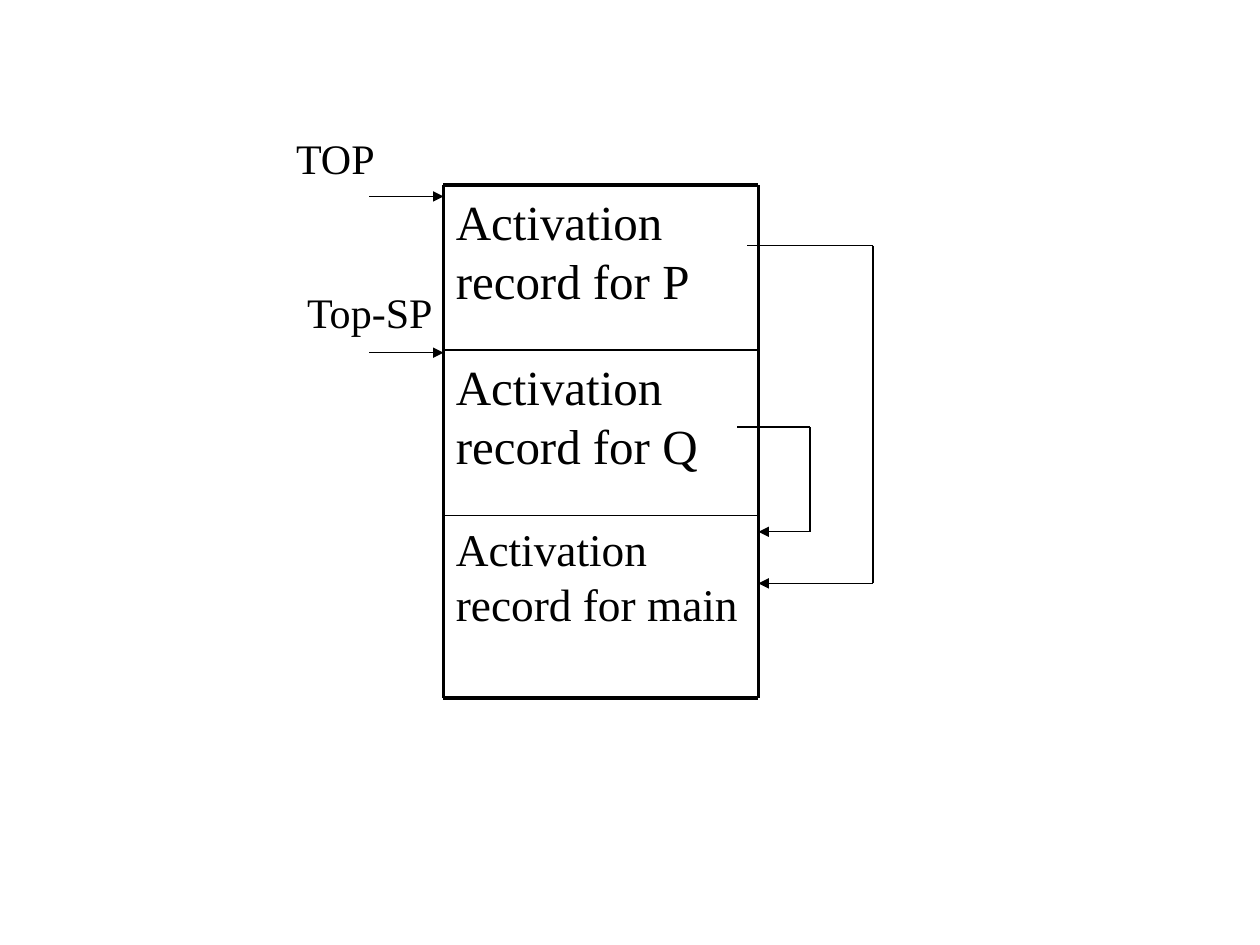
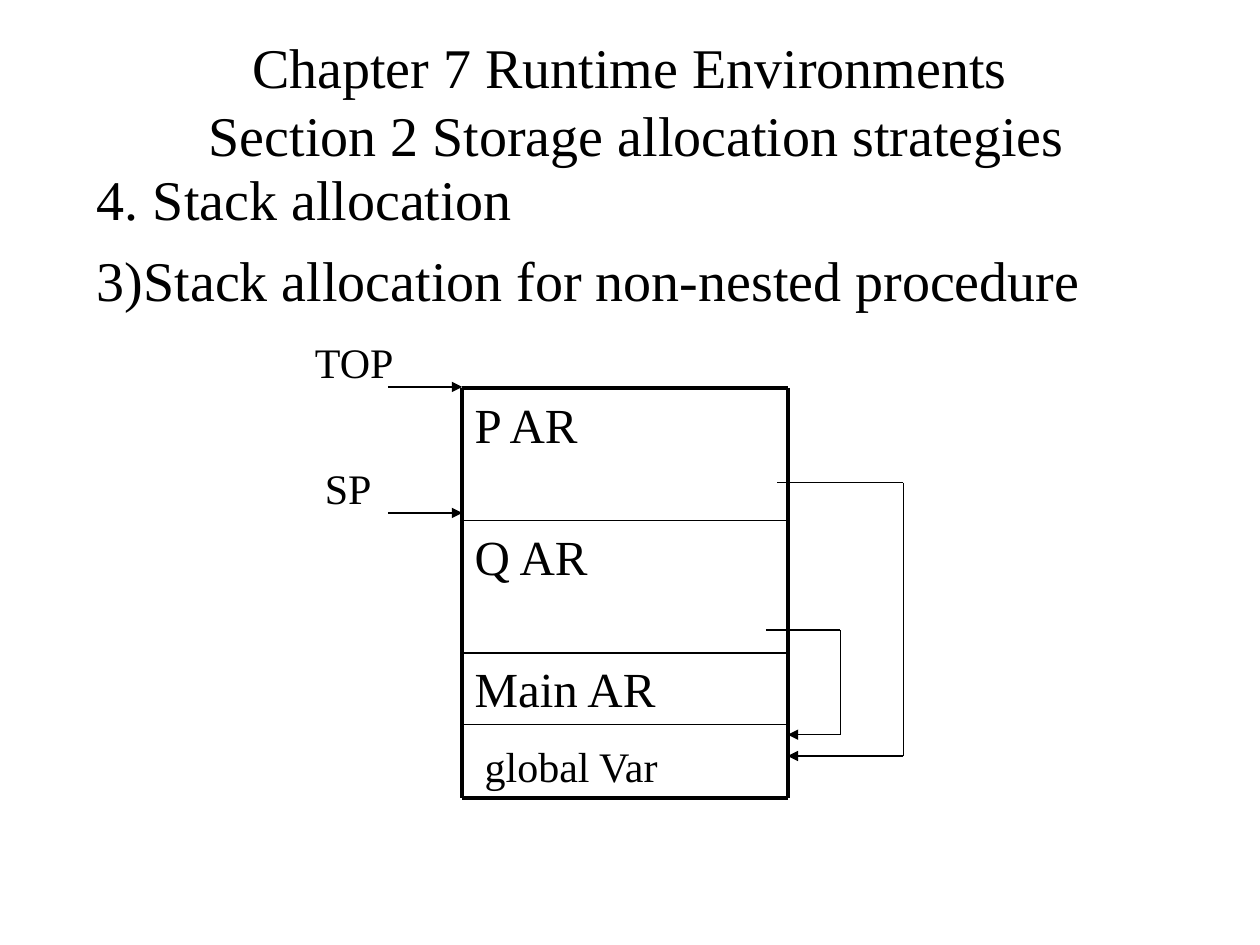
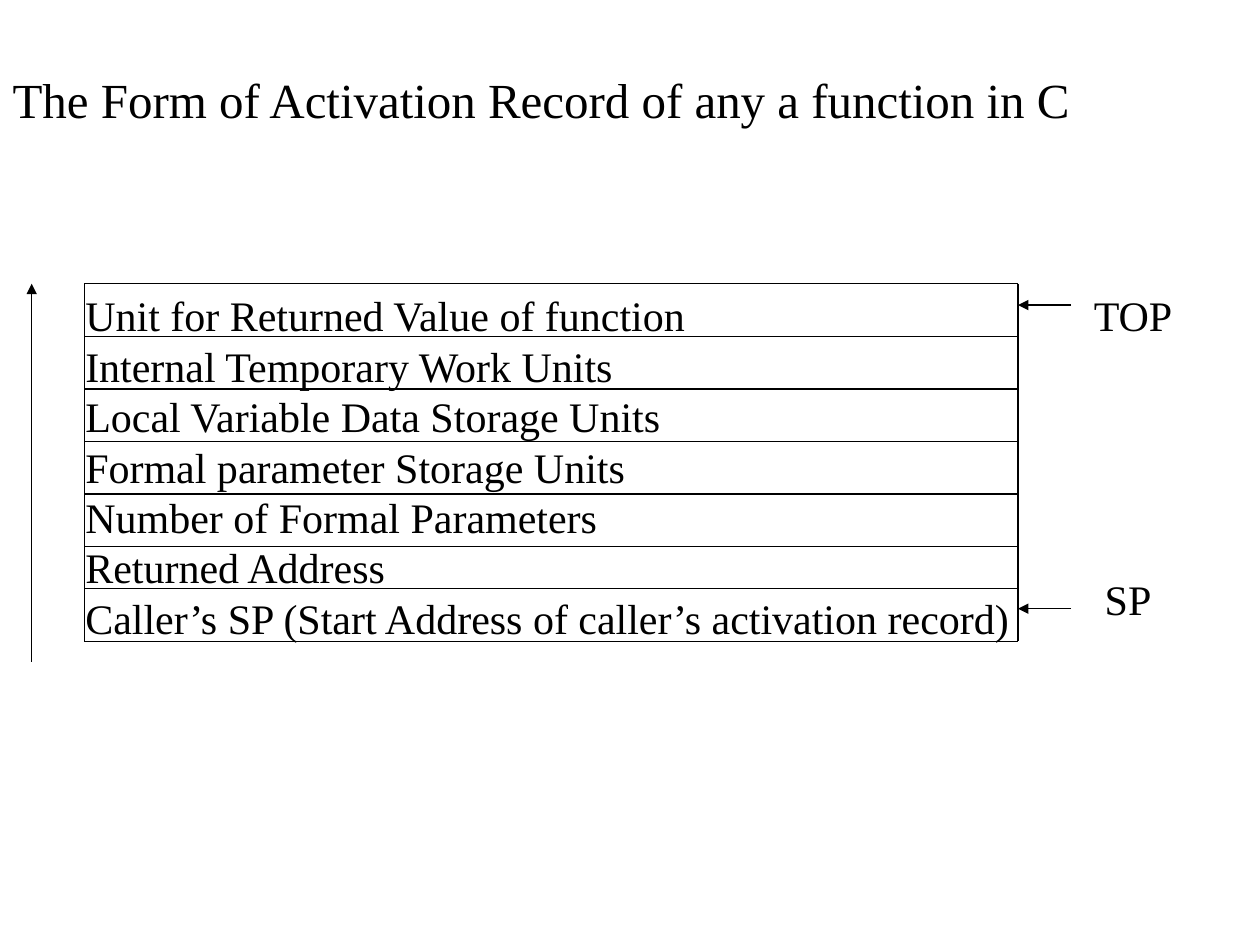
from dataclasses import dataclass
from itertools import accumulate, pairwise

from lxml import etree
from pptx import Presentation
from pptx import util as u
from pptx.dml.color import RGBColor
from pptx.enum import shapes, text
from pptx.oxml.ns import qn

COLORS = {"ink": "000000", "paper": "FFFFFF"}
FONT = "Times New Roman"
THIN, MEDIUM, THICK = 0.74, 0.99, 2.24
POINTER_LENGTH = 1.5
LABEL_HEIGHT = 1.27


Point = tuple[float, float]


@dataclass(frozen=True)
class Box:
    left: float
    top: float
    width: float
    height: float


@dataclass(frozen=True)
class Record:
    caption: str
    size: float


@dataclass(frozen=True)
class Pointer:
    caption: str
    label: Box
    y: float


@dataclass(frozen=True)
class ReturnLink:
    start: Point
    turn_x: float
    end_y: float


@dataclass(frozen=True)
class Stack:
    left: float
    right: float
    edges: list[float]
    records: list[Record]
    pointers: list[Pointer]
    links: list[ReturnLink]


def format_text(shape, size: float, align=text.PP_ALIGN.LEFT) -> None:
    for paragraph in shape.text_frame.paragraphs:
        paragraph.alignment = align
        for run in paragraph.runs:
            run.font.name = FONT
            run.font.size = u.Pt(size)
            run.font.color.rgb = RGBColor.from_string(COLORS["ink"])


def place(shape, box: Box) -> None:
    shape.left, shape.top = u.Cm(box.left), u.Cm(box.top)
    shape.width, shape.height = u.Cm(box.width), u.Cm(box.height)


def add_text(slide, box: Box, caption: str, size: float = 24, wrap: bool = True,
             align=text.PP_ALIGN.LEFT) -> None:
    shape = slide.shapes.add_textbox(0, 0, 0, 0)
    place(shape, box)
    shape.text_frame.word_wrap = wrap
    shape.text_frame.text = caption
    format_text(shape, size, align)


def fill_placeholder(shape, box: Box, caption: str, size: float, anchor, align) -> None:
    place(shape, box)
    frame = shape.text_frame
    frame.text = caption
    frame.auto_size = text.MSO_AUTO_SIZE.NONE
    frame.vertical_anchor = anchor
    format_text(shape, size, align)


def add_line(slide, start: Point, end: Point, width: float = THIN, arrow: bool = False) -> None:
    connector = slide.shapes.add_connector(
        shapes.MSO_CONNECTOR.STRAIGHT, *(u.Cm(value) for value in (*start, *end)))
    connector.line.width = u.Pt(width)
    connector.line.color.rgb = RGBColor.from_string(COLORS["ink"])
    if arrow:
        etree.SubElement(connector.line._get_or_add_ln(), qn("a:tailEnd"), type="triangle")
    etree.SubElement(connector._element.spPr, qn("a:effectLst"))


def add_route(slide, points: list[Point]) -> None:
    for start, end in pairwise(points):
        add_line(slide, start, end, arrow=end == points[-1])


def add_stack(slide, stack: Stack) -> None:
    left, right, edges = stack.left, stack.right, stack.edges
    for record, (top, bottom) in zip(stack.records, pairwise(edges)):
        add_text(slide, Box(left, top, right - left, bottom - top), record.caption, record.size)
    for y in edges:
        add_line(slide, (left, y), (right, y), THICK if y in (edges[0], edges[-1]) else MEDIUM)
    for x in (left, right):
        add_line(slide, (x, edges[0]), (x, edges[-1]), THICK)
    for link in stack.links:
        add_route(slide, [link.start, (link.turn_x, link.start[1]),
                          (link.turn_x, link.end_y), (right, link.end_y)])
    for pointer in stack.pointers:
        add_line(slide, (left - POINTER_LENGTH, pointer.y), (left, pointer.y), arrow=True)
        add_text(slide, pointer.label, pointer.caption, wrap=False)


def add_slide(presentation, layout_index: int):
    slide = presentation.slides.add_slide(presentation.slide_layouts[layout_index])
    slide.background.fill.solid()
    slide.background.fill.fore_color.rgb = RGBColor.from_string(COLORS["paper"])
    return slide


def build_call_stack(presentation) -> None:
    slide = add_slide(presentation, 6)
    add_stack(slide, Stack(
        left=8.94, right=15.29, edges=[3.73, 7.06, 10.39, 14.07],
        records=[Record("Activation record for P", 28),
                 Record("Activation record for Q", 28),
                 Record("Activation record for main", 25.9)],
        pointers=[Pointer("TOP", Box(5.72, 2.54, 2.11, LABEL_HEIGHT), 3.96),
                  Pointer("Top-SP", Box(5.94, 5.66, 3.1, LABEL_HEIGHT), 7.11)],
        links=[ReturnLink((15.06, 4.95), 17.6, 11.76),
               ReturnLink((14.86, 8.61), 16.33, 10.72)]))


def build_non_nested(presentation) -> None:
    slide = add_slide(presentation, 1)
    title, body = slide.placeholders
    fill_placeholder(
        title, Box(1.9, 0.43, 21.6, 3.18),
        "Chapter 7 Runtime Environments\v Section 2 Storage allocation strategies",
        32, text.MSO_ANCHOR.MIDDLE, text.PP_ALIGN.CENTER)
    fill_placeholder(
        body, Box(1.7, 3.18, 22.86, 14.81),
        "4. Stack allocation\n3)Stack allocation for non-nested procedure",
        32, text.MSO_ANCHOR.TOP, text.PP_ALIGN.LEFT)
    for paragraph in body.text_frame.paragraphs:
        paragraph.space_before = u.Pt(8)
        properties = paragraph._p.get_or_add_pPr()
        properties.set("marL", str(u.Cm(0.95)))
        properties.set("indent", str(u.Cm(-0.95)))
        etree.SubElement(properties, qn("a:buNone"))

    left, right, global_top = 9.32, 15.88, 14.6
    add_stack(slide, Stack(
        left=left, right=right, edges=[7.82, 10.49, 13.16, 16.08],
        records=[Record(f"{name} AR", 28) for name in ("P", "Q", "Main")],
        pointers=[Pointer("TOP", Box(6.1, 6.65, 2.11, LABEL_HEIGHT), 7.8),
                  Pointer("SP", Box(6.3, 9.19, 1.45, LABEL_HEIGHT), 10.34)],
        links=[ReturnLink((15.67, 9.73), 18.21, 15.24),
               ReturnLink((15.44, 12.7), 16.94, 14.81)]))
    add_line(slide, (left, global_top), (right, global_top))
    add_text(slide, Box(9.52, 14.81, 6.15, LABEL_HEIGHT), "global Var")


def build_record_form(presentation) -> None:
    slide = add_slide(presentation, 5)
    fill_placeholder(
        slide.shapes.title, Box(0, 1.27, 25.4, 1.45),
        "The Form of Activation Record of any a function in C",
        28, text.MSO_ANCHOR.TOP, text.PP_ALIGN.LEFT)

    units = ["Unit for Returned Value of function",
             "Internal Temporary Work Units",
             "Local Variable Data Storage Units",
             "Formal parameter Storage Units",
             "Number of Formal Parameters",
             "Returned Address",
             "Caller’s SP (Start Address of caller’s activation record)"]
    left, right, top = 1.7, 20.52, 5.72
    row_heights = [1.06] * 5 + [0.85, 1.06]
    edges = list(accumulate(row_heights, initial=top))
    add_text(slide, Box(1.47, top, 19.9, 7.37), "\n".join(units), align=text.PP_ALIGN.JUSTIFY)
    for y in edges:
        add_line(slide, (left, y), (right, y))
    for x in (left, right):
        add_line(slide, (x, top), (x, edges[-1]))

    pointers = [Pointer("TOP", Box(21.8, 5.72, 2.11, LABEL_HEIGHT), 6.15),
                Pointer("SP", Box(22.02, 11.43, 1.9, LABEL_HEIGHT), 12.27)]
    for pointer in pointers:
        add_line(slide, (right + 1.07, pointer.y), (right, pointer.y), arrow=True)
        add_text(slide, pointer.label, pointer.caption)
    add_line(slide, (0.64, 13.34), (0.64, top), arrow=True)


def main() -> None:
    presentation = Presentation()
    presentation.slide_width, presentation.slide_height = u.Cm(25.4), u.Cm(19.05)
    build_call_stack(presentation)
    build_non_nested(presentation)
    build_record_form(presentation)
    presentation.save("out.pptx")


main()
